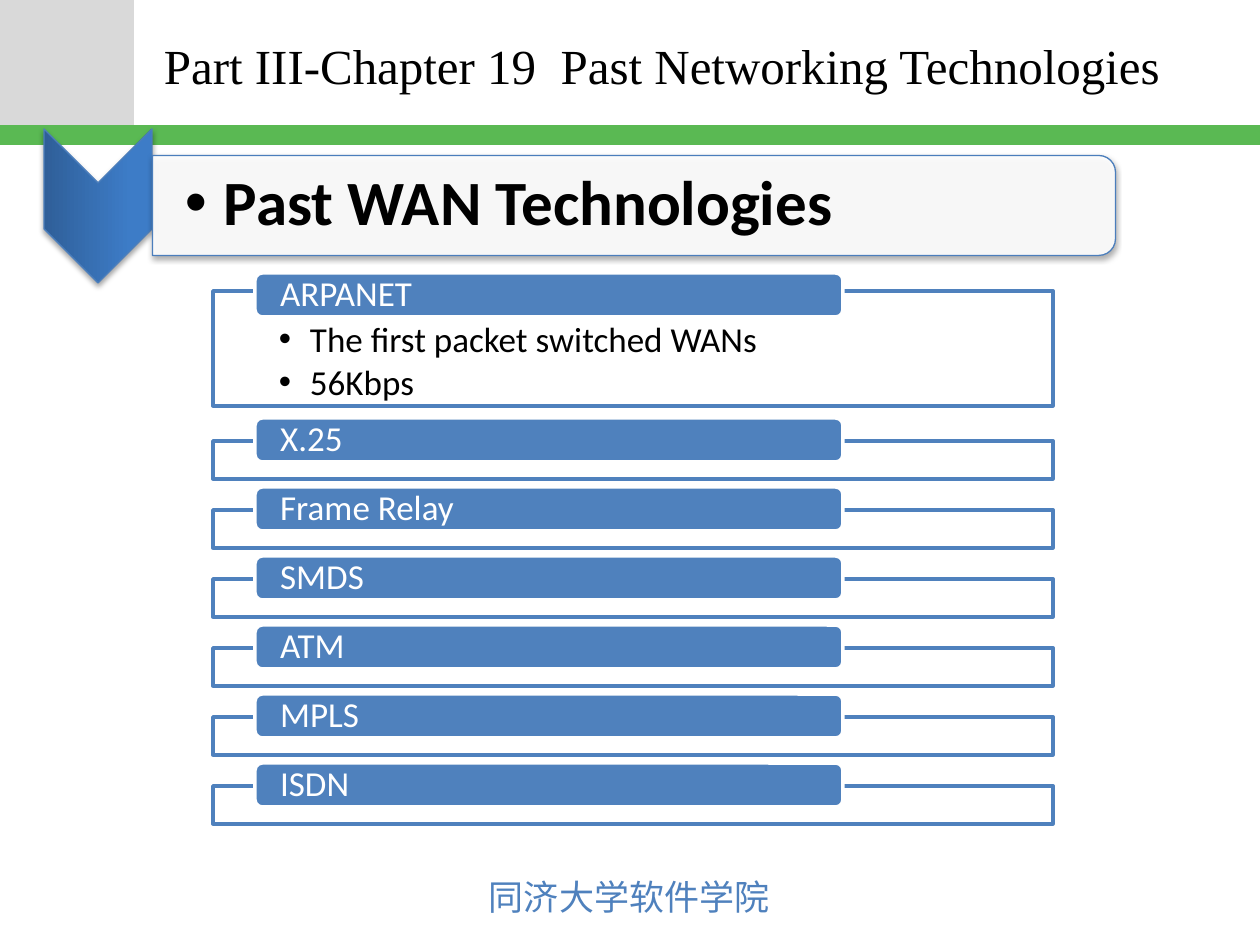
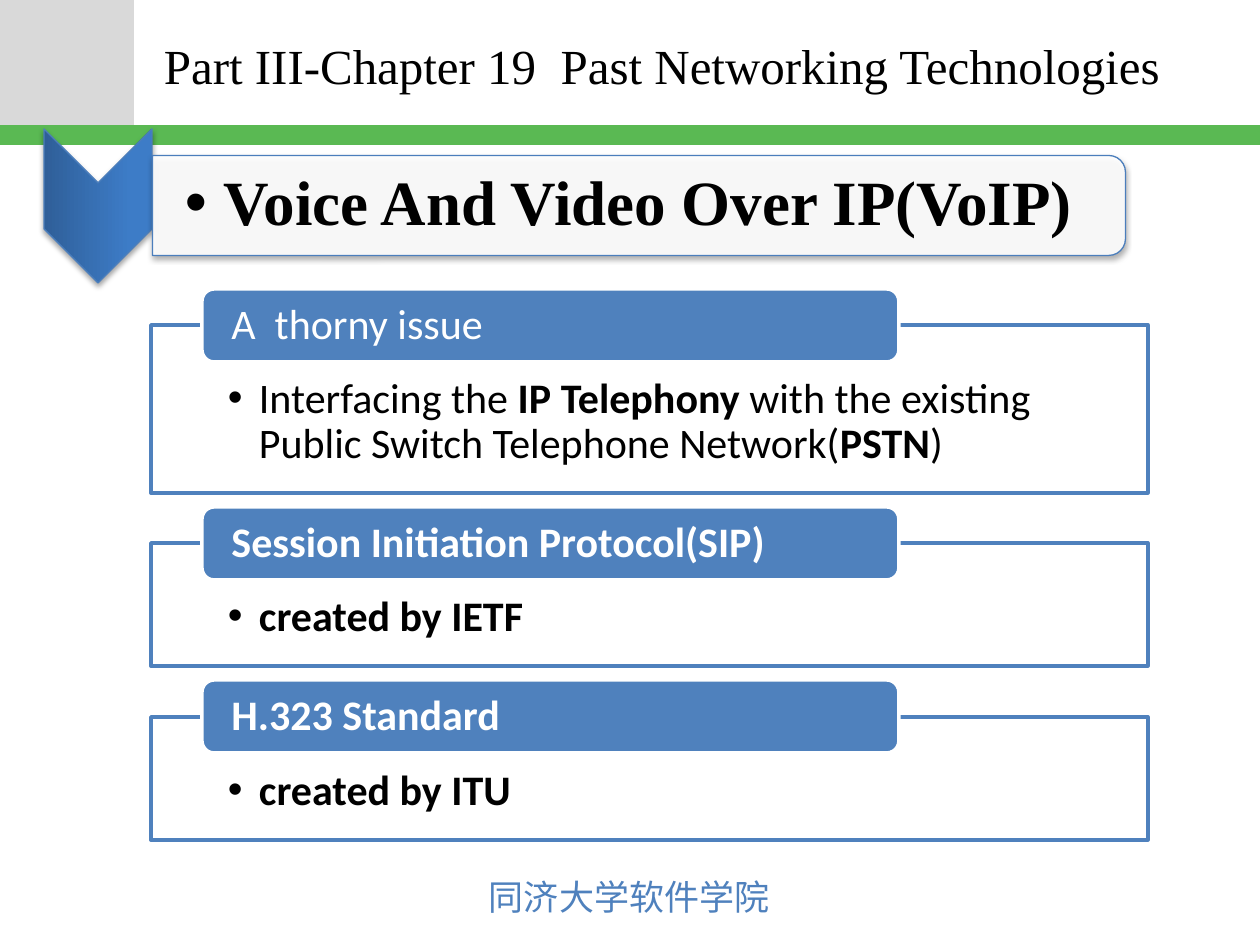
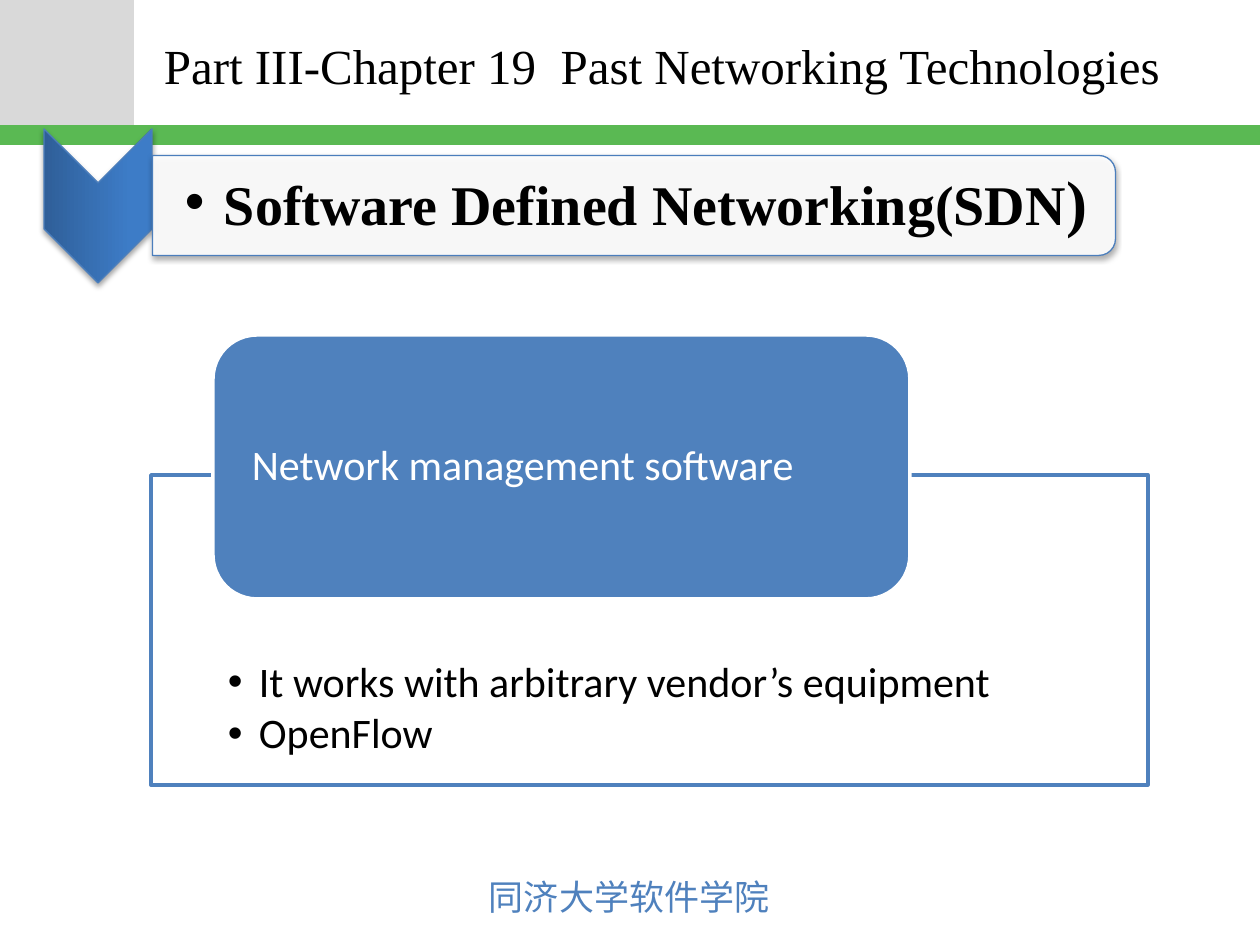
"""Build three slides on past networking technologies."""
from lxml.etree import SubElement
from pptx import Presentation
from pptx.dml.color import RGBColor
from pptx.enum.shapes import MSO_SHAPE
from pptx.enum.text import MSO_ANCHOR, PP_ALIGN
from pptx.oxml.ns import qn
from pptx.util import Pt

PX = 914400 // 126
BLUE, EDGE, WHITE, BLACK = "4F81BD", "4B7EBC", "FFFFFF", "000000"
SERIF, SANS = "Times New Roman", "Calibri"
MID, TOP = MSO_ANCHOR.MIDDLE, MSO_ANCHOR.TOP


def box(slide, kind, at, fill, line=None, width=2, alpha=None):
    at = [v * PX for v in at]
    if kind is None:
        return slide.shapes.add_textbox(*at)
    shape = slide.shapes.add_shape(kind, *at)
    shape.shadow.inherit = False
    shape.fill.solid()
    shape.fill.fore_color.rgb = RGBColor.from_string(fill)
    if alpha:
        tint = shape._element.spPr.find(qn("a:solidFill"))[0]
        SubElement(tint, qn("a:alpha"), val=str(alpha * 1000))
    if line:
        shape.line.color.rgb = RGBColor.from_string(line)
        shape.line.width = Pt(width)
    else:
        shape.line.fill.background()
    return shape


def write(shape, lines, name, size, color, pad, anchor=MID, bold=False, dent=0, space=1):
    frame = shape.text_frame
    frame.word_wrap = True
    frame.vertical_anchor = anchor
    (frame.margin_left, frame.margin_top,
     frame.margin_right, frame.margin_bottom) = [v * PX for v in pad]
    for num, line in enumerate(lines):
        para = frame.add_paragraph() if num else frame.paragraphs[0]
        para.alignment = PP_ALIGN.LEFT
        para.line_spacing = space
        if dent:
            para.space_after = Pt(size * 0.15)
            props = para._p.get_or_add_pPr()
            props.set("marL", str(dent * PX))
            props.set("indent", str(-dent * PX))
            SubElement(props, qn("a:buFont"), typeface="Arial")
            SubElement(props, qn("a:buChar"), char="•")
        font = para.font
        font.name, font.size, font.bold = name, Pt(size), bold
        font.color.rgb = RGBColor.from_string(color)
        SubElement(font._rPr, qn("a:ea"), typeface=name)
        for spot, bit in enumerate(line.split("*")):
            run = para.add_run()
            run.text = bit
            if spot % 2:
                run.font.bold = True


# Each row: label, bold, label top, frame top, frame height, bullets
wans = [("ARPANET", False, 273, 291, 115, ["The first packet switched WANs", "56Kbps"])]
for step, label in enumerate(["X.25", "Frame Relay", "SMDS", "ATM", "MPLS", "ISDN"]):
    wans.append((label, False, 418 + 69 * step, 441 + 69 * step, 38, []))
voice = [
    ("A  thorny issue", False, 289, 325, 168,
     ["Interfacing the *IP Telephony* with the existing "
      "Public Switch Telephone Network(*PSTN*)"]),
    ("Session Initiation Protocol(SIP)", True, 507, 543, 123, ["created by IETF"]),
    ("H.323 Standard", True, 680, 717, 123, ["created by ITU"]),
]
sdn = [("Network management software", False, 335, 475, 310,
        ["It works with arbitrary vendor’s equipment", "OpenFlow"])]

pages = [
    dict(head="Past WAN Technologies", face=SANS, big=36, wide=963, rows=wans, size=20,
         left=213, span=840, tab=(255, 588, 44), inset=23, pad=(66, 31, 66, 20)),
    dict(head="Voice And Video Over IP(VoIP)", face=SERIF, big=36, wide=973, rows=voice, size=24,
         left=151, span=997, tab=(202, 697, 73), inset=26, pad=(77, 52, 77, 24)),
    dict(head="Software Defined Networking(SDN", face=SERIF, big=32, wide=963, rows=sdn, size=24,
         left=151, span=997, tab=(213, 697, 264), inset=26, pad=(77, 186, 77, 24)),
]

deck = Presentation()
deck.slide_width, deck.slide_height = 1260 * PX, 945 * PX

for page in pages:
    slide = deck.slides.add_slide(deck.slide_layouts[6])
    box(slide, MSO_SHAPE.RECTANGLE, (0, 0, 134, 125), "D9D9D9")
    box(slide, MSO_SHAPE.RECTANGLE, (0, 125, 1260, 20), "5AB953")
    foot = box(slide, None, (476, 869, 309, 55), None)
    write(foot, ["同济大学软件学院"], "Noto Sans CJK JP", 20, BLUE, (13, 6, 0, 6), TOP)
    title = box(slide, None, (151, 3, 1084, 123), None)
    write(title, ["Part III-Chapter 19  Past Networking Technologies"],
          SERIF, 28, BLACK, (13, 6, 13, 6))

    wide = page["wide"]
    mark = box(slide, MSO_SHAPE.CHEVRON, (21, 152, 154, 108), BLUE, EDGE, 0.75)
    mark.fill.gradient()
    mark.fill.gradient_angle = 90
    for stop, spot, tone in zip(mark.fill.gradient_stops, (0, 0.8), ("2F5F99", "3D7CC7")):
        stop.position = spot
        stop.color.rgb = RGBColor.from_string(tone)
    band = box(slide, MSO_SHAPE.ROUND_2_SAME_RECTANGLE,
               (153 + wide // 2 - 50, 205 - wide // 2, 100, wide), WHITE, EDGE, 0.75, 90)
    for shape in (mark, band):
        shape.rotation = 90
        glow = SubElement(shape._element.spPr.find(qn("a:effectLst")), qn("a:outerShdw"),
                          blurRad="40000", dist="23000", dir="5400000", rotWithShape="0")
        shade = SubElement(glow, qn("a:srgbClr"), val=BLACK)
        SubElement(shade, qn("a:alpha"), val="35000")
    head = box(slide, None, (153, 160, wide - 5, 90), None)
    write(head, [page["head"]], page["face"], page["big"], BLACK, (32, 3, 3, 3),
          bold=True, dent=39, space=0.9)

    left, span, height = page["tab"]
    for label, bold, top, base, deep, items in page["rows"]:
        panel = box(slide, MSO_SHAPE.RECTANGLE, (page["left"], base, page["span"], deep),
                    WHITE, BLUE, alpha=90)
        if items:
            write(panel, items, SANS, page["size"], BLACK, page["pad"], TOP, bold, 31, 0.9)
        tab = box(slide, MSO_SHAPE.ROUNDED_RECTANGLE, (left, top, span, height), BLUE, WHITE)
        write(tab, [label], SANS, page["size"], WHITE,
              (page["inset"], 0, page["inset"], 0), bold=bold, space=0.9)

close = head.text_frame.paragraphs[0].add_run()
close.text = ")"
close.font.size = Pt(36)

deck.save("out.pptx")
